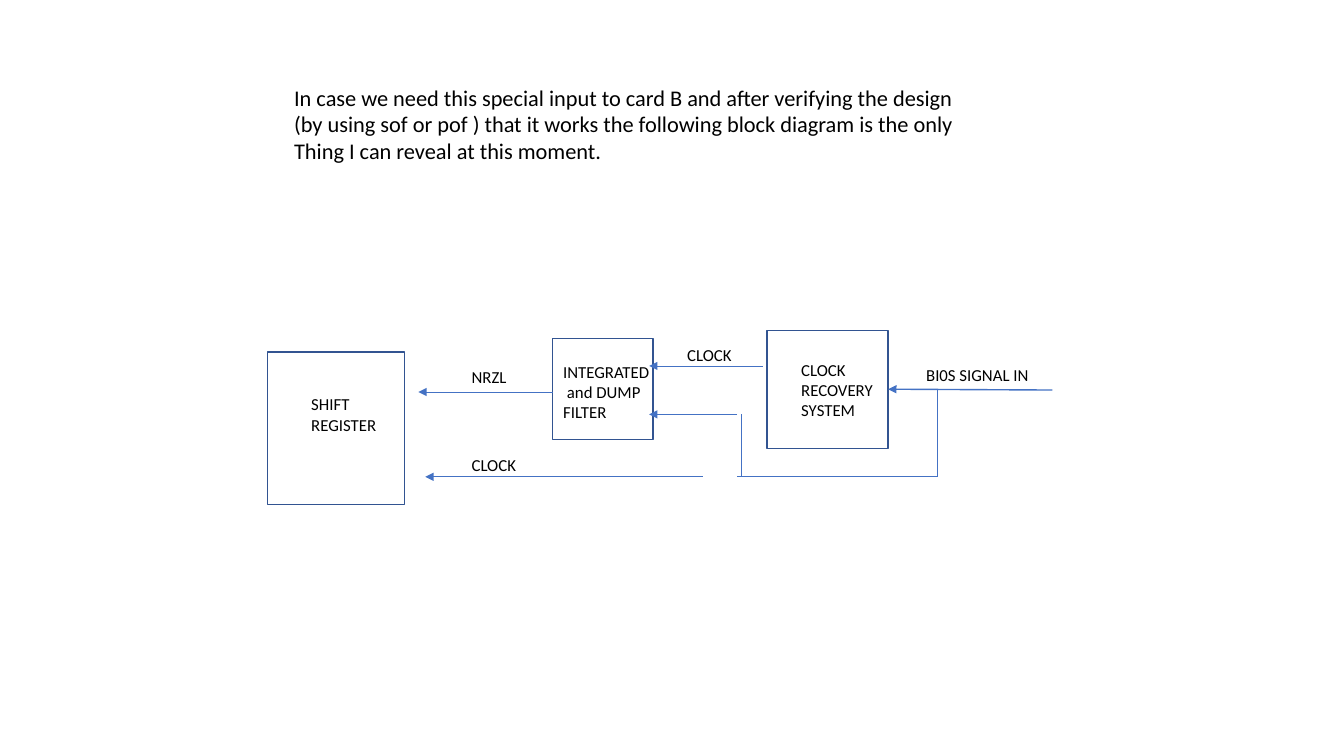
from lxml import etree
from pptx import Presentation
from pptx import util as u
from pptx.dml.color import RGBColor
from pptx.enum import shapes, text
from pptx.oxml.ns import qn

BLACK = RGBColor(0x00, 0x00, 0x00)
BLUE = RGBColor(0x44, 0x72, 0xC4)
DARK_BLUE = RGBColor(0x32, 0x54, 0x91)


class Diagram:
    """Holds the style and the current slide; all lengths are in points."""

    font_name = "Calibri"

    def __init__(self, slide):
        self.slide = slide

    def label(self, left, top, width, height, lines, size=12):
        box = self.slide.shapes.add_textbox(
            u.Pt(left), u.Pt(top), u.Pt(width), u.Pt(height))
        frame = box.text_frame
        frame.word_wrap = True
        frame.auto_size = text.MSO_AUTO_SIZE.SHAPE_TO_FIT_TEXT
        frame.text = "\n".join(lines)
        for paragraph in frame.paragraphs:
            paragraph.font.name = self.font_name
            paragraph.font.size = u.Pt(size)
            paragraph.font.color.rgb = BLACK

    def block(self, left, top, width, height):
        shape = self.slide.shapes.add_shape(
            shapes.MSO_SHAPE.RECTANGLE,
            u.Pt(left), u.Pt(top), u.Pt(width), u.Pt(height))
        shape.shadow.inherit = False
        shape.fill.background()
        shape.line.color.rgb = DARK_BLUE
        shape.line.width = u.Pt(1)

    def wire(self, start, end, arrow=False, weight=0.5):
        connector = self.slide.shapes.add_connector(
            shapes.MSO_CONNECTOR.STRAIGHT,
            *(u.Pt(value) for value in (*start, *end)))
        connector.line.color.rgb = BLUE
        connector.line.width = u.Pt(weight)
        if arrow:
            line = connector.line._get_or_add_ln()
            etree.SubElement(line, qn("a:tailEnd"), type="triangle")
        etree.SubElement(connector._element.spPr, qn("a:effectLst"))


presentation = Presentation()
presentation.slide_width = u.Pt(960)
presentation.slide_height = u.Pt(540)
blank_layout = presentation.slide_layouts[6]
diagram = Diagram(presentation.slides.add_slide(blank_layout))

# Introduction
diagram.label(203, 56.2, 491, 65.5, [
    "In case we need this special input to card B and after verifying the design",
    "(by using sof or pof ) that it works the following block diagram is the only",
    "Thing I can reveal at this moment.",
], size=16)

# Blocks: outline, then its caption
BLOCKS = [
    ((191, 251.5, 98, 108.7), (215.2, 278, 65, 36), ["SHIFT", "REGISTER"]),
    ((394.6, 242, 72, 72), (395.2, 254.9, 78, 51),
     ["INTEGRATED", " and DUMP", "FILTER"]),
    ((548, 236, 86.4, 84.4), (565.2, 253.4, 70, 51),
     ["CLOCK", "RECOVERY", "SYSTEM"]),
]
for outline, caption_place, caption in BLOCKS:
    diagram.block(*outline)
    diagram.label(*caption_place, caption)

# Signal arrows, running right to left
BUS_Y = 340.6
BYPASS_Y = 296
diagram.wire((751.7, 278.6), (634.4, 278), arrow=True, weight=1)
SIGNALS = [
    (545, 463.7, 261.4),
    (526.5, 463.7, BYPASS_Y),
    (395, 298.8, 280),
    (502, 303.8, BUS_Y),
]
for start_x, end_x, y in SIGNALS:
    diagram.wire((start_x, y), (end_x, y), arrow=True)

# Bypass of the input around the clock recovery block
diagram.wire((669.4, 278.6), (669.4, BUS_Y))
diagram.wire((669.4, BUS_Y), (526.5, BUS_Y))
diagram.wire((529.4, BUS_Y), (529.4, BYPASS_Y))

# Signal names
SIGNAL_NAMES = [
    (654.5, 257, 91.4, "BI0S SIGNAL IN"),
    (483.8, 242.6, 52, "CLOCK"),
    (329.8, 258.5, 45.4, "NRZL"),
    (329.8, 321.1, 52, "CLOCK"),
]
for left, top, width, name in SIGNAL_NAMES:
    diagram.label(left, top, width, 21.6, [name])

presentation.save("out.pptx")
